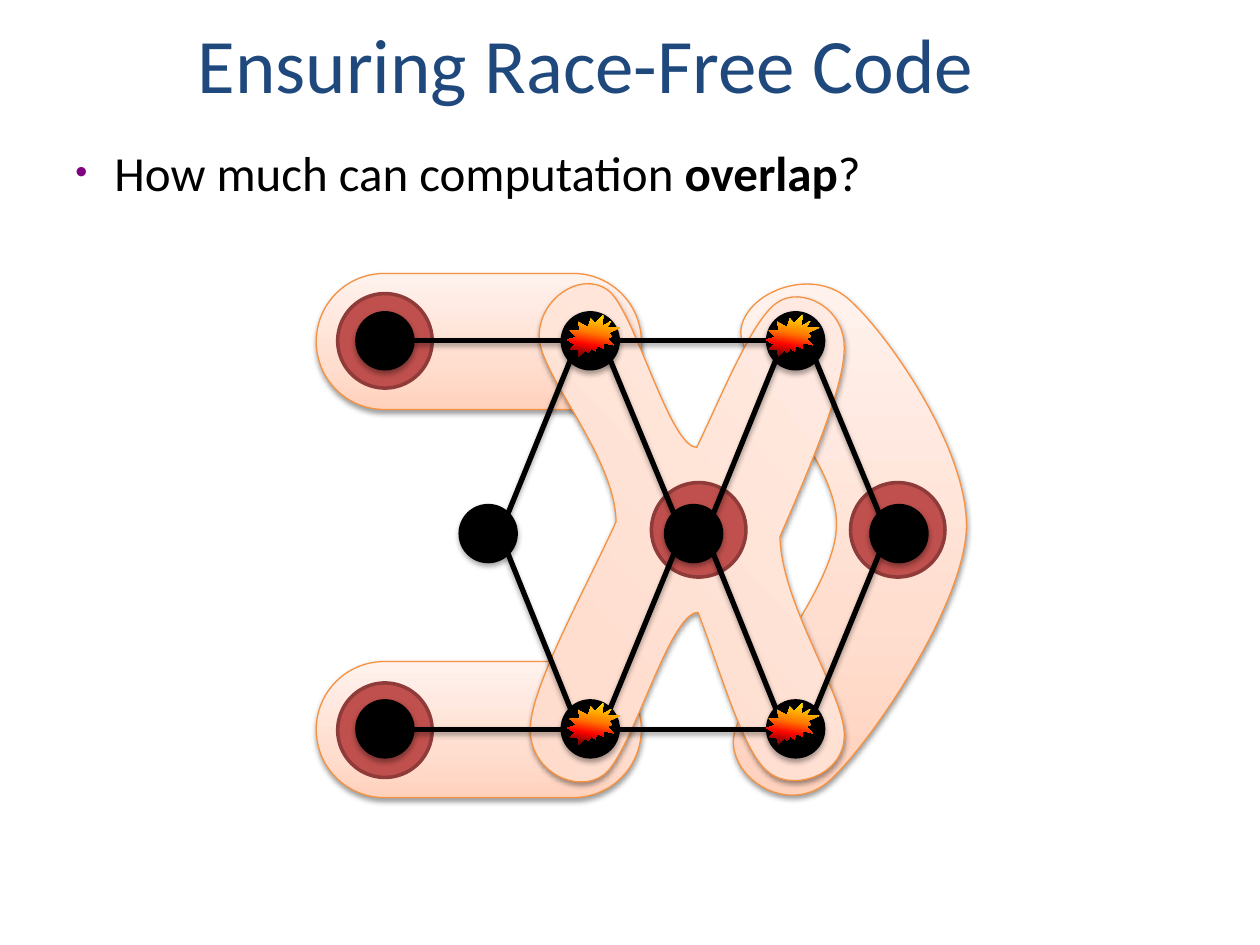
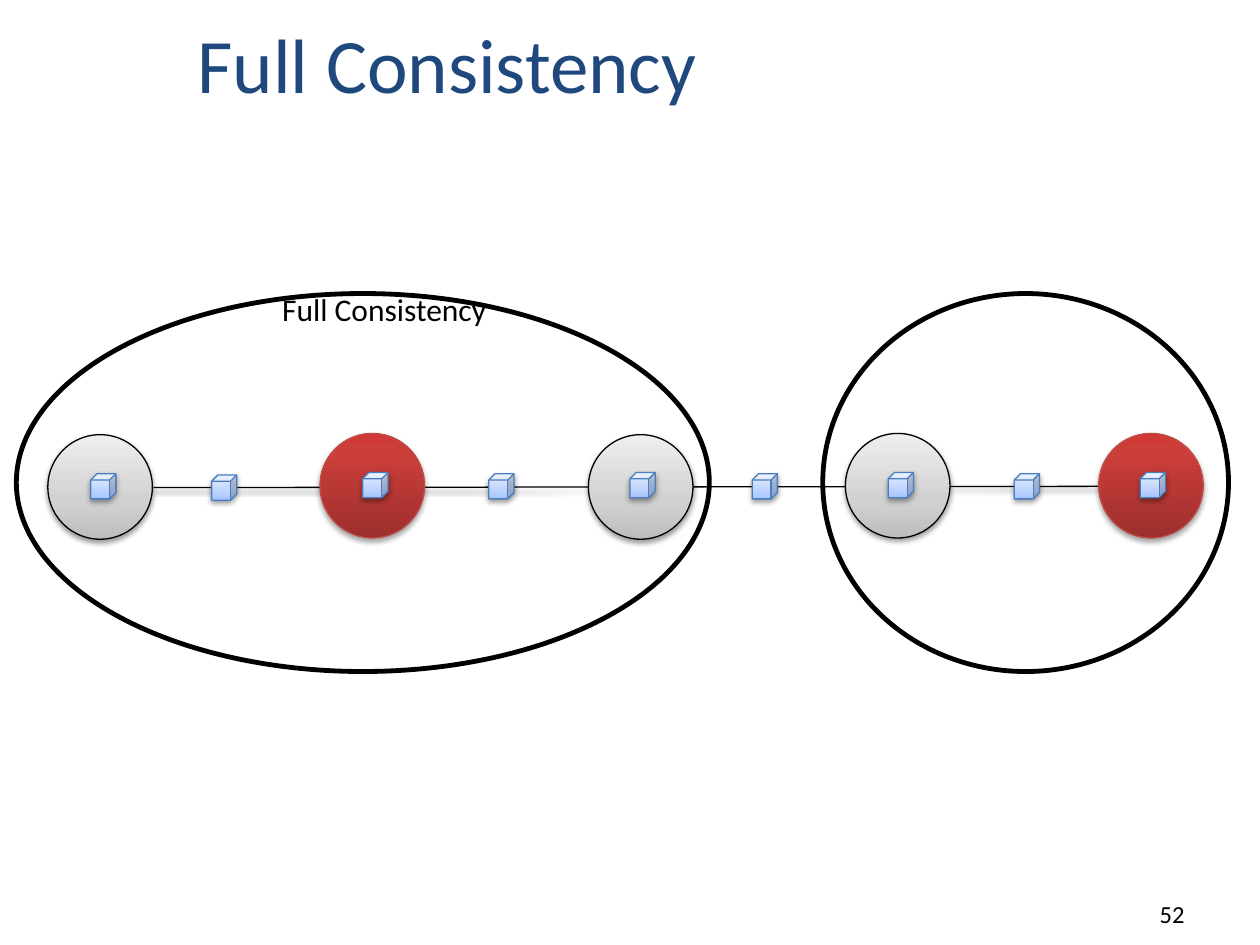
"""Build two slides on race-free code and full consistency."""
from math import cos, radians, sin

from lxml import etree
from pptx import Presentation
from pptx.dml.color import RGBColor
from pptx.enum.shapes import MSO_CONNECTOR, MSO_SHAPE
from pptx.enum.text import MSO_ANCHOR, PP_ALIGN
from pptx.oxml.ns import qn
from pptx.util import Inches, Pt

OVAL, ROUND = MSO_SHAPE.OVAL, MSO_SHAPE.ROUNDED_RECTANGLE
CUBE, BURST = MSO_SHAPE.CUBE, MSO_SHAPE.EXPLOSION2
LINE = MSO_CONNECTOR.STRAIGHT
TOP, BOTTOM = MSO_ANCHOR.TOP, MSO_ANCHOR.BOTTOM
LEFT, CENTER, RIGHT = PP_ALIGN.LEFT, PP_ALIGN.CENTER, PP_ALIGN.RIGHT


class Theme:
    font = "Calibri"
    title, body, label, foot = 44, 28, 18, 14
    navy, black, white, purple = "1F497D", "000000", "FFFFFF", "800080"
    red, maroon, orange = "C0504D", "8E3B39", "F69240"
    rust, blue = "BF4C48", "4B7EBC"
    peach = ((0, "FFD2BD"), (35, "FFDED0"), (100, "FFF2ED"))
    gray = ((0, "BDBDBD"), (35, "D1D1D1"), (100, "EEEEEE"))
    brick = ((0, "9C2F2D"), (80, "CB3E3A"), (100, "CE3B37"))
    sky = ((0, "A4C4FF"), (35, "BFD4FF"), (100, "E6EEFF"))
    fire = ((0, "FFF200"), (45, "FF7A00"), (70, "FF0300"), (100, "4D0808"))
    soft, hard = (38, 3.1, 1.6), (35, 3.1, 1.8)


def paint(shape, fill=None, line=None, width=0.75, shade=None, angle=90):
    props = shape.element.spPr
    if isinstance(fill, tuple):
        shape.fill.gradient()
        shape.fill.gradient_angle = angle
        stops = props.find(".//" + qn("a:gsLst"))
        for stop in list(stops):
            stops.remove(stop)
        for spot, color in fill:
            stop = etree.SubElement(stops, qn("a:gs"), pos=str(spot * 1000))
            etree.SubElement(stop, qn("a:srgbClr"), val=color)
    elif fill:
        shape.fill.solid()
        shape.fill.fore_color.rgb = RGBColor.from_string(fill)
    if line:
        shape.line.color.rgb = RGBColor.from_string(line)
        shape.line.width = Pt(width)
    else:
        shape.line.fill.background()
    effects = etree.SubElement(props, qn("a:effectLst"))
    if shade:
        alpha, blur, drop = shade
        outer = etree.SubElement(
            effects, qn("a:outerShdw"), blurRad=str(Pt(blur)),
            dist=str(Pt(drop)), dir="5400000", rotWithShape="0")
        color = etree.SubElement(outer, qn("a:srgbClr"), val=Theme.black)
        etree.SubElement(color, qn("a:alpha"), val=str(alpha * 1000))


def write(slide, place, words, size, color=Theme.black, anchor=TOP, align=LEFT):
    frame = slide.shapes.add_textbox(*map(Inches, place)).text_frame
    frame.word_wrap = True
    frame.vertical_anchor = anchor
    para = frame.paragraphs[0]
    para.text = words
    para.alignment = align
    for run in para.runs:
        run.font.name = Theme.font
        run.font.size = Pt(size)
        run.font.color.rgb = RGBColor.from_string(color)
    return para


deck = Presentation()
deck.slide_width, deck.slide_height = Inches(10), Inches(7.5)
race, full = [deck.slides.add_slide(deck.slide_layouts[6]) for _ in range(2)]

crescent = [
    (7.67, 4.2), (7.69, 3.56), (7.03, 2.63), (6.73, 2.37),
    (6.43, 2.11), (5.9, 2.33), (5.88, 2.63),
    (5.87, 2.93), (6.65, 3.62), (6.64, 4.17),
    (6.63, 4.71), (5.82, 5.56), (5.82, 5.89),
    (5.83, 6.22), (6.29, 6.47), (6.59, 6.19),
    (6.9, 5.91), (7.64, 4.83), (7.67, 4.2)]
cross = [
    (4.82, 2.3), (5.03, 2.44), (5.31, 3.55), (5.53, 3.55),
    (5.72, 3.16), (5.97, 2.53), (6.17, 2.4),
    (6.36, 2.27), (6.7, 2.44), (6.7, 2.75),
    (6.71, 3.06), (6.41, 3.75), (6.19, 4.26),
    (6.2, 4.8), (6.72, 5.54), (6.7, 5.85),
    (6.69, 6.16), (6.28, 6.29), (6.09, 6.12),
    (5.89, 5.96), (5.69, 5.24), (5.54, 4.86),
    (5.31, 4.86), (5.01, 6), (4.79, 6.15),
    (4.57, 6.31), (4.19, 6.11), (4.21, 5.77),
    (4.22, 5.44), (4.64, 4.69), (4.89, 4.14),
    (4.88, 3.62), (4.29, 2.98), (4.28, 2.68),
    (4.27, 2.37), (4.61, 2.15), (4.82, 2.3)]

for curve, box, turn in ((crescent, (5.82, 2.25, 1.84, 4.06), 0),
                         (cross, (3.34, 2.22, 4.21, 4.11), 47.4)):
    left, top, width, height = box
    c, s = cos(radians(turn)), sin(radians(turn))
    spots = []
    for x, y in curve:
        dx, dy = x - left - width / 2, y - top - height / 2
        spots.append((Inches(width / 2 + dx * c + dy * s),
                      Inches(height / 2 + dy * c - dx * s)))
    pen = race.shapes.build_freeform(*spots[0])
    pen.add_line_segments(spots[3:-1:3], close=True)
    blob = pen.convert_to_shape()
    blob.left, blob.top, blob.width, blob.height = map(Inches, box)
    blob.rotation = turn
    route = blob.element.spPr.find(".//" + qn("a:path"))
    route.set("w", str(Inches(width)))
    route.set("h", str(Inches(height)))
    for part in list(route):
        route.remove(part)
    for i in range(0, len(spots), 3):
        kind = "a:cubicBezTo" if i else "a:moveTo"
        part = etree.SubElement(route, qn(kind))
        for x, y in spots[max(i - 2, 0):i + 1]:
            etree.SubElement(part, qn("a:pt"), x=str(x), y=str(y))
    etree.SubElement(route, qn("a:close"))
    paint(blob, Theme.peach, Theme.orange, shade=Theme.soft)
    if curve is crescent:
        for top in (5.25, 2.17):
            pill = race.shapes.add_shape(
                ROUND, Inches(2.51), Inches(top), Inches(2.58), Inches(1.08))
            pill.adjustments[0] = 0.5
            paint(pill, Theme.peach, Theme.orange, shade=Theme.soft)

for left, top in ((5.17, 3.83), (2.68, 5.42), (2.68, 2.33), (6.75, 3.83)):
    halo = race.shapes.add_shape(
        OVAL, Inches(left), Inches(top), Inches(0.75), Inches(0.75))
    paint(halo, Theme.red, Theme.maroon, 2)

banner = (1.47, 0.08, 8.2, 0.83)
write(race, banner, "Ensuring Race-Free Code", Theme.title, Theme.navy, BOTTOM)
para = write(race, (0.5, 1.08, 9.08, 0.75), "How much can computation ", Theme.body)
for words, bold in (("overlap", True), ("?", False)):
    run = para.add_run()
    run.text = words
    run.font.name, run.font.size, run.font.bold = Theme.font, Pt(Theme.body), bold
    run.font.color.rgb = RGBColor.from_string(Theme.black)
props = para._p.get_or_add_pPr()
props.set("marL", str(Inches(0.31)))
props.set("indent", str(-Inches(0.31)))
tint = etree.SubElement(props, qn("a:buClr"))
etree.SubElement(tint, qn("a:srgbClr"), val=Theme.purple)
etree.SubElement(props, qn("a:buSzPct"), val="70000")
etree.SubElement(props, qn("a:buFont"), typeface="Arial")
etree.SubElement(props, qn("a:buChar"), char="•")

size, pitch = 0.43, 1.63
outer = [2.84 + pitch * i for i in range(3)]
inner = [3.66 + pitch * i for i in range(3)]
near, far = 0.06, 0.37
upper, lower = [], []
for edges, row, end, start in ((upper, 2.7, 2.85, 4.08), (lower, 5.79, 5.63, 4.39)):
    edges += [(a + size, row, b, row) for a, b in zip(outer, outer[1:])]
    for a, b in ((0, 1), (2, 2), (1, 2), (1, 1)):
        ahead = outer[b] > inner[a]
        edges.append((inner[a] + (far if ahead else near), start,
                      outer[b] + (near if ahead else far), end))

for edges, nodes in ((upper, ((2.49, outer), (5.57, outer), (4.02, inner))),
                     (lower, ())):
    for edge in edges:
        paint(race.shapes.add_connector(LINE, *map(Inches, edge)),
              line=Theme.black, width=3, shade=Theme.hard)
    for top, lefts in nodes:
        for left in lefts:
            node = race.shapes.add_shape(
                OVAL, Inches(left), Inches(top), Inches(size), Inches(size))
            paint(node, Theme.black, Theme.black, 3, Theme.hard)

for top in (2.5, 5.58):
    for left in (4.5, 6.08):
        burst = race.shapes.add_shape(
            BURST, Inches(left), Inches(top), Inches(0.42), Inches(0.33))
        paint(burst, Theme.fire, shade=Theme.hard, angle=260)

for left, width in ((6.53, 3.22), (0.13, 5.5)):
    scope = full.shapes.add_shape(
        OVAL, Inches(left), Inches(2.33), Inches(width), Inches(3))
    paint(scope, Theme.white, Theme.black, 2.75)
write(full, (1.05, 2.25, 4, 0.4), "Full Consistency", Theme.label, align=CENTER)
write(full, banner, "Full Consistency", Theme.title, Theme.navy, BOTTOM)
write(full, (7.42, 6.92, 2.08, 0.5), "52", Theme.foot, anchor=BOTTOM, align=RIGHT)

link = full.shapes.add_connector(
    LINE, Inches(1.22), Inches(3.87), Inches(8.72), Inches(3.86))
paint(link, line=Theme.black, shade=Theme.soft)
for left, top, hot in ((8.72, 3.44, True), (0.38, 3.45, False), (4.67, 3.45, False),
                       (6.71, 3.44, False), (2.54, 3.44, True)):
    ball = full.shapes.add_shape(
        OVAL, Inches(left), Inches(top), Inches(0.83), Inches(0.83))
    if hot:
        paint(ball, Theme.brick, Theme.rust, shade=Theme.hard)
    else:
        paint(ball, Theme.gray, Theme.black, shade=Theme.soft)

for left, top in ((3.88, 3.76), (5.97, 3.76), (8.05, 3.76), (9.05, 3.75), (1.68, 3.77),
                  (0.72, 3.76), (7.05, 3.75), (5, 3.75), (2.88, 3.75)):
    cube = full.shapes.add_shape(
        CUBE, Inches(left), Inches(top), Inches(0.2), Inches(0.2))
    paint(cube, Theme.sky, Theme.blue, shade=Theme.soft)

deck.save("out.pptx")
